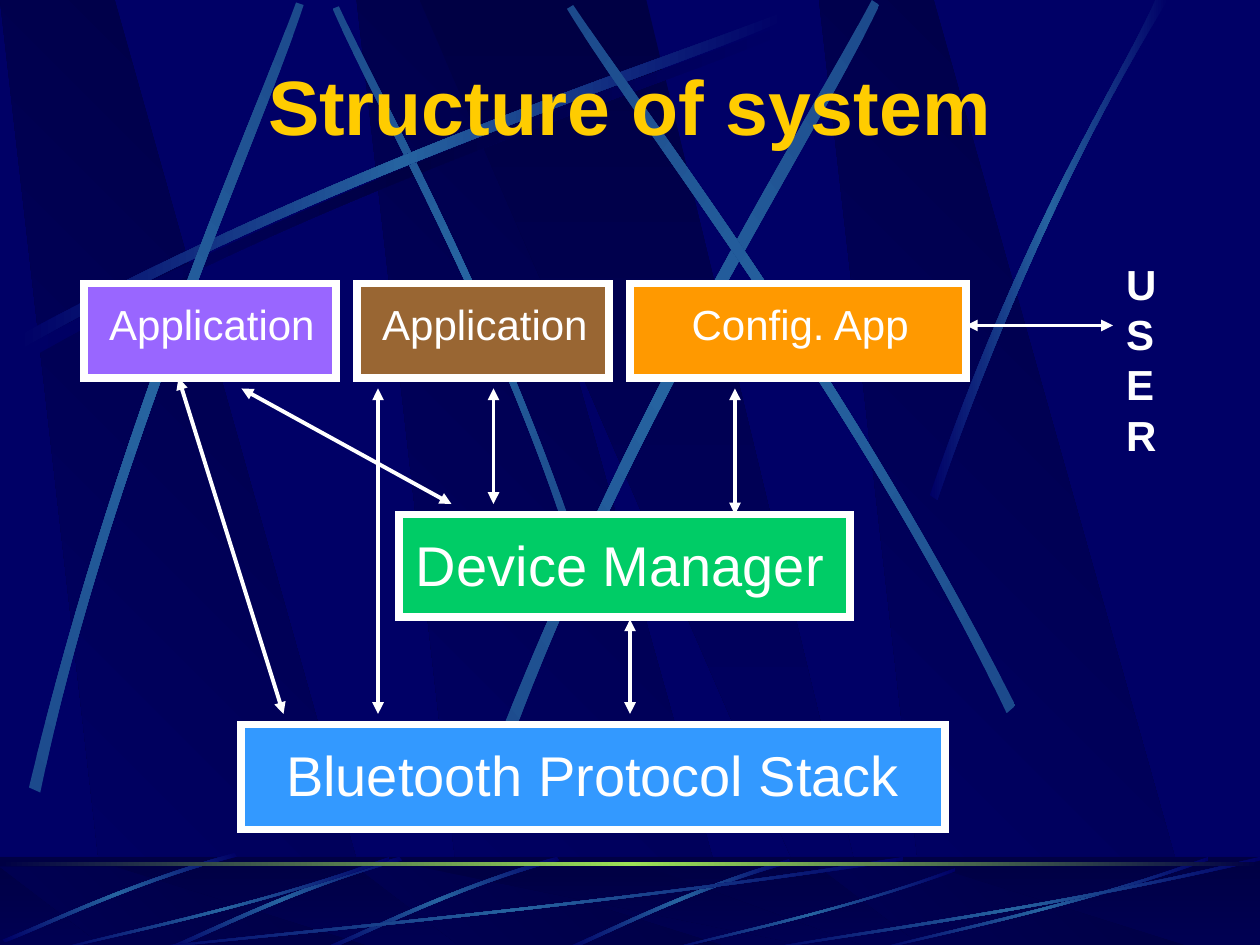
from lxml import etree
from pptx import Presentation
from pptx.dml.color import RGBColor
from pptx.enum.shapes import MSO_CONNECTOR as LINE, MSO_SHAPE as SHAPE
from pptx.enum.text import MSO_ANCHOR as ANCHOR, PP_ALIGN as ALIGN
from pptx.oxml.ns import qn
from pptx.util import Inches, Pt

WIDTH, HEIGHT = 10, 7.5
CELL = 1 / 12  # the diagram sits on a grid of 120 columns by 90 rows
NAVY, DEEP, BEAM, RIM, WHITE = "000066", "000044", "2663A0", "1C4A8C", "FFFFFF"
SHADE, GLOW = (DEEP, NAVY), (NAVY, BEAM, NAVY)
SHADOW, BRIGHT = (NAVY, DEEP, NAVY), (RIM, BEAM, RIM)


def color(value):
    return RGBColor.from_string(value)


def child(parent, tag, **attributes):
    return etree.SubElement(parent, qn(tag), attributes)


# ---- Drawing helpers ----
def paint(shape, colors, angle=0):
    """Fill with evenly spaced gradient colours, without outline or shadow."""
    shape.shadow.inherit = False
    shape.line.fill.background()
    shape.fill.gradient()
    gradient = shape.element.spPr.find(qn("a:gradFill"))
    for old in list(gradient):
        gradient.remove(old)
    stops = child(gradient, "a:gsLst")
    for i, value in enumerate(colors):
        stop = child(stops, "a:gs", pos=str(100000 * i // (len(colors) - 1)))
        child(stop, "a:srgbClr", val=value)
    child(gradient, "a:lin", ang=str(round(angle * 60000)), scaled="0")


def outline(slide, box, points, colors, angle):
    """Closed shape whose points are shares of the box."""
    left, top, width, height = box
    placed = [(Inches(left + x * width), Inches(top + y * height)) for x, y in points]
    builder = slide.shapes.build_freeform(*placed[0], scale=1.0)
    builder.add_line_segments(placed[1:], close=True)
    shape = builder.convert_to_shape()
    paint(shape, colors, angle)
    return shape


def streak(slide, box, edges, colors=GLOW, angle=180):
    """Two curved edges of four points each, joined by straight ends."""
    shape = outline(slide, box, edges, colors, angle)
    segments = list(shape.element.spPr.iter(qn("a:lnTo")))
    for bends in (segments[:3], segments[4:7]):
        bend = etree.Element(qn("a:cubicBezTo"))
        bends[0].addprevious(bend)
        for segment in bends:
            bend.append(segment[0])
            segment.getparent().remove(segment)


def band(slide, box):
    bar = slide.shapes.add_shape(SHAPE.RECTANGLE, *map(Inches, box))
    bar.shadow.inherit = False
    bar.line.fill.background()
    return bar


def write(shape, lines, size, value=WHITE, bold=False, align=ALIGN.CENTER, **frame_format):
    frame = shape.text_frame
    for name, setting in {"word_wrap": True, "vertical_anchor": ANCHOR.TOP,
                          **frame_format}.items():
        setattr(frame, name, setting)
    frame.text = "\n".join(lines)
    for paragraph in frame.paragraphs:
        paragraph.alignment = align
        for name, setting in {"name": "Arial", "size": Pt(size), "bold": bold}.items():
            setattr(paragraph.font, name, setting)
        paragraph.font.color.rgb = color(value)


# ---- Backdrop ----
PILLAR = [(0.86, 1), (3.02, 1), (0.91, 0), (0, 0)]
LEANING_PILLAR = [(0, 0), (3.25, 1), (3.61, 1), (1.8, 0)]
SWEEP = [(0.14, 2.67), (2.78, 1.25), (5.18, 0.51), (6.2, 0.1),
         (6.23, 0.16), (5.22, 0.61), (2.48, 1.43), (0.17, 2.77)]
# Beams on the wall in inches, each with its colours and the turn of its gradient
FIRST_BEAM = [(4.6, 4.36), (3.91, 2.34), (3.02, 0.77), (2.69, 0.05),
              (2.64, 0.07), (2.95, 0.79), (3.98, 2.58), (4.54, 4.39)]
BEAMS = [
    (311.7, BRIGHT, [(0.23, 6.25), (0.93, 3.34), (1.97, 1.05), (2.35, 0.02),
                     (2.41, 0.04), (2.07, 1.08), (0.86, 3.68), (0.32, 6.29)]),
    (321.6, BRIGHT, [(3.85, 6.14), (4.98, 3.2), (6.38, 1.02), (6.92, 0),
                     (6.98, 0.04), (6.49, 1.08), (4.86, 3.55), (3.94, 6.21)]),
    (34.8, BRIGHT, [(8.06, 5.6), (6.7, 2.93), (5.16, 0.95), (4.55, 0.04),
                    (4.5, 0.07), (5.07, 1.01), (6.85, 3.25), (7.99, 5.66)]),
    (0, GLOW, [(7.38, 3.93), (8.14, 1.73), (8.88, 0.66), (9.17, 0),
               (9.27, 0), (8.36, 1.45), (7.69, 3.22), (7.44, 3.97)]),
]
# Reflections on the floor, as shares of their box
RISING = [(0.99, 0), (0.53, 0.33), (0.17, 0.8), (0, 0.97),
          (0.01, 1), (0.17, 0.84), (0.58, 0.31), (1, 0.04)]
SPREAD = [(1, 0.04), (0.57, 0.57), (0.17, 0.85), (0, 1),
          (0, 0.99), (0.17, 0.81), (0.62, 0.51), (1, 0)]


def pillars(slide, top, height):
    for left in (2.83, 0, 6.5):
        outline(slide, (left, top, 1, height), PILLAR, SHADE, 135)
    outline(slide, (3.33, top, 1, height), LEANING_PILLAR, SHADE, 90)


def wall(slide):
    inches = (0, 0, 1, 1)
    pillars(slide, 0, HEIGHT)
    streak(slide, (0.06, 0.08, 1, 1), SWEEP, SHADOW)
    streak(slide, inches, FIRST_BEAM, BRIGHT, 225)
    streak(slide, inches, SWEEP)
    for turn, colors, edges in BEAMS:
        streak(slide, inches, edges, colors, (180 + turn) % 360)


def floor(slide, top=6.8, height=0.75):
    paint(band(slide, (0, top, WIDTH, height)), SHADE, 90)
    pillars(slide, 6.88, 0.66)
    # Half-transparent veil
    veil = band(slide, (0, top, WIDTH, height))
    veil.fill.solid()
    veil.fill.fore_color.rgb = color(DEEP)
    tint = veil.element.spPr.find(qn("a:solidFill"))[0]
    child(tint, "a:alpha", val="50000")
    # Reflections
    streak(slide, (4.48, 6.82, 1.8, 0.73), RISING)
    for box in ((2.56, top, 1.88, height), (1.31, top, 1.88, height),
                (0.02, 6.77, 1.86, 0.71)):
        streak(slide, box, RISING, angle=135)
    for box in ((1, top, 6.17, height), (0.42, top, 2.67, height),
                (5.27, 6.89, 2.31, 0.66), (6.92, top, 2.67, height),
                (6, top, 4, height)):
        streak(slide, box, SPREAD)
    # Horizon
    paint(band(slide, (0, 6.84, WIDTH, 0.03)), (DEEP, "9CE157", DEEP), 180)


# ---- Content ----
def heading(slide, box):
    title = slide.shapes.add_textbox(*map(Inches, box))
    write(title, ["Structure of system"], 44, "FFCC00", bold=True,
          vertical_anchor=ANCHOR.MIDDLE)


def layer(slide, label, fill, size, cells, label_box):
    """A framed part of the system; its label box is in inches from the frame."""
    left, top, width, height = (n * CELL for n in cells)
    part = band(slide, (left, top, width, height))
    part.fill.solid()
    part.fill.fore_color.rgb = color(fill)
    part.line.color.rgb = color(WHITE)
    part.line.width = Pt(4.5)
    child(part.line._get_or_add_ln(), "a:miter", lim="800000")
    dx, dy, label_width, label_height = label_box
    name = slide.shapes.add_textbox(
        *map(Inches, (left + dx, top + dy, label_width, label_height)))
    if dx:  # a label that starts inside the frame carries its colour
        name.fill.solid()
        name.fill.fore_color.rgb = color(fill)
    write(name, [label], size)


def exchange(slide, ends):
    """A two-headed arrow between two grid points."""
    arrow = slide.shapes.add_connector(LINE.STRAIGHT, *(Inches(n * CELL) for n in ends))
    arrow.line.color.rgb = color(WHITE)
    arrow.line.width = Pt(2.25)
    line = arrow.line._get_or_add_ln()
    for end in ("a:headEnd", "a:tailEnd"):
        child(line, end, type="triangle")
    child(arrow._element.spPr, "a:effectLst")


def diagram(slide):
    app_label = (0.07, 0.07, 1.89, 0.5)
    for part in (
            ("Bluetooth Protocol Stack", "3399FF", 32, (23, 69, 67, 10), (0.08, 0.08, 5.42, 0.64)),
            ("Device Manager", "00CC66", 32, (38, 49, 43, 9.8), (0, 0.08, 3.51, 0.64)),
            ("Application", "9966FF", 24, (8, 27, 24, 9), app_label),
            ("Application", "996633", 24, (34, 27, 24, 9), app_label),
            ("Config. App", "FF9900", 24, (60, 27, 32, 9), (0.09, 0.07, 2.52, 0.5))):
        layer(slide, *part)
    user = slide.shapes.add_textbox(*map(Inches, (8.84, 2, 0.44, 1.7)))
    write(user, "USER", 24, bold=True, align=ALIGN.LEFT, word_wrap=False)
    for ends in ((92, 31, 106, 31), (60, 59, 60, 68), (17, 36, 27, 68),
                 (36, 37, 36, 68), (23, 37, 43, 48), (47, 37, 47, 48),
                 (70, 37, 70, 49)):
        exchange(slide, ends)


def main():
    deck = Presentation()
    deck.slide_width, deck.slide_height = Inches(WIDTH), Inches(HEIGHT)
    slide = deck.slides.add_slide(deck.slide_layouts[6])
    slide.background.fill.solid()
    slide.background.fill.fore_color.rgb = color(NAVY)
    wall(slide)
    floor(slide)
    heading(slide, (0, 0.41, WIDTH, 0.84))
    diagram(slide)
    deck.save("out.pptx")


if __name__ == "__main__":
    main()
